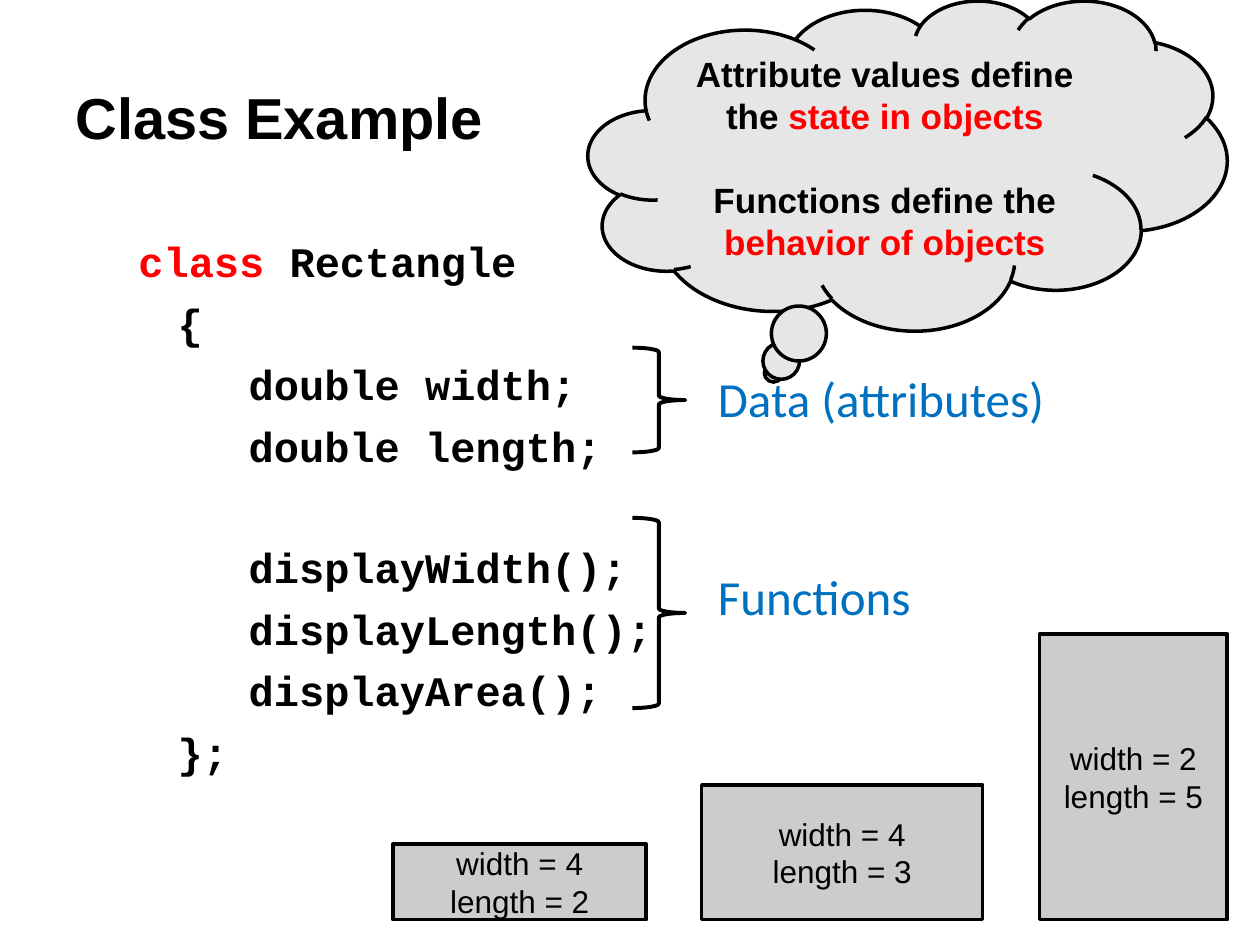
"""Build the Class Example slide with code, labels, a thought cloud and rectangles."""
import pptx
import pptx.dml.color
import pptx.enum.shapes
import pptx.enum.text
import pptx.util

Pt = pptx.util.Pt
SHAPES = pptx.enum.shapes.MSO_SHAPE
ALIGN = pptx.enum.text.PP_ALIGN
ANCHOR = pptx.enum.text.MSO_ANCHOR
BLACK, RED, BLUE = "000000", "FF0000", "0070C0"
BASELINE = 525.6
CODE_GAP, CODE_PITCH = 6.5, 33.7

TITLE = [[("Class Example", BLACK)]]
CODE = [
    (36, 0, [("class", RED), (" Rectangle", BLACK)]),
    (58.5, CODE_GAP, [("{", BLACK)]),
    (99, CODE_GAP, [("double width;", BLACK)]),
    (99, CODE_GAP, [("double length;", BLACK)]),
    (99, CODE_GAP + CODE_PITCH, [("displayWidth();", BLACK)]),
    (99, CODE_GAP, [("displayLength();", BLACK)]),
    (99, CODE_GAP, [("displayArea();", BLACK)]),
    (58.5, CODE_GAP, [("};", BLACK)]),
]
BRACES = [(198.7, 59.8), (295.9, 108.7)]
LABELS = [[("Data (attributes)", BLUE)], [("Functions", BLUE)]]
CLOUD = [
    [("Attribute values define the ", BLACK), ("state in objects", RED)],
    [("Functions define the ", BLACK), ("behavior of objects", RED)],
]
RECTANGLES = [
    (224.6, 144.7, 43.2, 4, 2),
    (401, 160.6, 77, 4, 3),
    (594, 107.3, 163.4, 2, 5),
]


def color(value):
    return pptx.dml.color.RGBColor.from_string(value)


def write(shape, lines, font, size, bold=False, align=ALIGN.LEFT, anchor=ANCHOR.TOP, gap=0):
    frame = shape.text_frame
    frame.word_wrap = True
    frame.vertical_anchor = anchor
    for index, line in enumerate(lines):
        para = frame.add_paragraph() if index else frame.paragraphs[0]
        para.alignment = align
        para.space_before = Pt(gap if index else 0)
        para.font.name, para.font.size, para.font.bold = font, Pt(size), bold
        for words, shade in line:
            span = para.add_run()
            span.text = words
            span.font.color.rgb = color(shade)
    return frame.paragraphs


def add_box(page, left, top, width, height):
    return page.shapes.add_textbox(Pt(left), Pt(top), Pt(width), Pt(height))


def add_shape(page, kind, left, top, width, height, fill=None, line=2):
    shape = page.shapes.add_shape(kind, Pt(left), Pt(top), Pt(width), Pt(height))
    shape.shadow.inherit = False
    if fill:
        shape.fill.solid()
        shape.fill.fore_color.rgb = color(fill)
    else:
        shape.fill.background()
    shape.line.color.rgb = color(BLACK)
    shape.line.width = Pt(line)
    return shape


def main():
    deck = pptx.Presentation()
    deck.slide_width, deck.slide_height = Pt(720), Pt(540)
    page = deck.slides.add_slide(deck.slide_layouts[6])

    title = add_box(page, 36, 21.6, 648, 90)
    write(title, TITLE, "Arial", 33, bold=True, anchor=ANCHOR.MIDDLE)

    code = add_box(page, 36, 131, 648, 351)
    paras = write(code, [line for _, _, line in CODE], "Courier New", 24, bold=True)
    for para, (indent, gap, _) in zip(paras, CODE):
        para.space_before = Pt(gap)
        properties = para._p.get_or_add_pPr()
        properties.set("marL", str(int(Pt(indent))))
        properties.set("indent", "0")

    for top, height in BRACES:
        add_shape(page, SHAPES.RIGHT_BRACE, 361.4, top, 30.2, height, line=2.25)

    labels = add_box(page, 403.2, 211, 203.8, 152.6)
    for para in write(labels, LABELS, "Calibri", 28, align=ALIGN.JUSTIFY, gap=82.5):
        para.line_spacing = 0.9

    cloud = add_shape(page, SHAPES.CLOUD_CALLOUT, 336.2, 0, 365, 188.6, "E6E6E6")
    cloud.adjustments[0], cloud.adjustments[1] = -0.21, 0.63
    write(cloud, CLOUD, "Arial", 20, bold=True, align=ALIGN.CENTER, anchor=ANCHOR.MIDDLE, gap=24)

    for left, width, height, across, along in RECTANGLES:
        shape = add_shape(page, SHAPES.RECTANGLE, left, BASELINE - height, width, height, "CCCCCC")
        lines = [[(f"width = {across}", BLACK)], [(f"length = {along}", BLACK)]]
        write(shape, lines, "Arial", 18, align=ALIGN.CENTER, anchor=ANCHOR.MIDDLE)

    deck.save("out.pptx")


if __name__ == "__main__":
    main()
